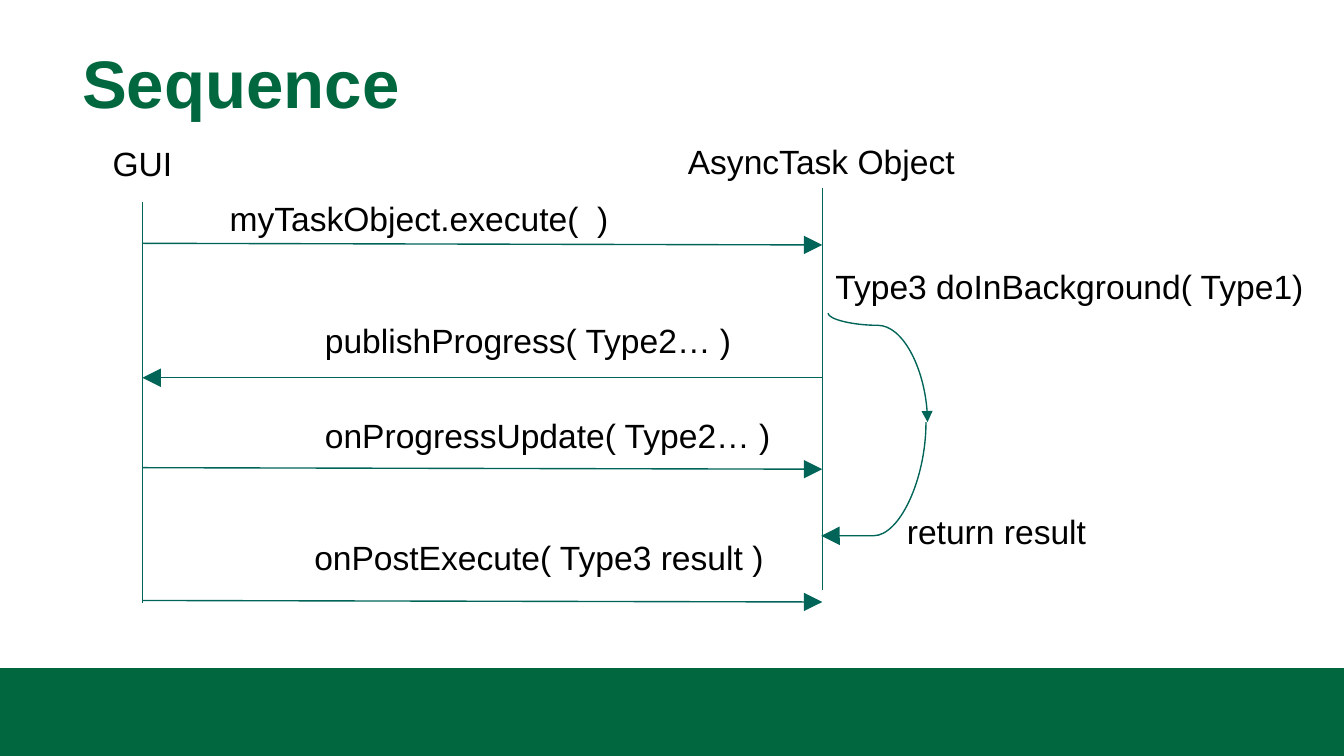
import lxml.etree
import pptx
import pptx.util
import pptx.dml.color
import pptx.enum.shapes
import pptx.enum.text
import pptx.oxml.ns
from pptx.util import Cm

THEME = {
    "font": "Arial",
    "title_size": 36,
    "label_size": 18,
    "line_width": 0.75,
    "brand": "00673E",
    "line": "006558",
    "text": "000000",
}

TITLE = "Sequence"
GUI_X, TASK_X = 2.69, 15.54
ARROW_DROP = 0.03
LABEL_HEIGHT = 1.02

LIFELINES = [(GUI_X, 3.81, 11.4), (TASK_X, 3.56, 11.15)]

MESSAGES = [
    (GUI_X, TASK_X, 4.6, ARROW_DROP),
    (TASK_X, GUI_X, 7.14, 0),
    (GUI_X, TASK_X, 8.84, ARROW_DROP),
    (GUI_X, TASK_X, 11.35, ARROW_DROP),
]

LABELS = [
    ("GUI", 1.88, 2.57, 1.65, False),
    ("AsyncTask Object", 12.75, 2.54, 5.61, False),
    ("myTaskObject.execute(  )", 4.09, 3.61, 9.5, True),
    ("Type3 doInBackground( Type1)", 15.54, 4.9, 9.63, False),
    ("publishProgress( Type2… )", 5.89, 5.92, 8.46, False),
    ("onProgressUpdate( Type2… )", 5.89, 7.72, 9.19, False),
    ("onPostExecute( Type3 result )", 5.69, 10.03, 9.45, False),
    ("return result", 16.89, 9.53, 3.94, False),
]

CURVES = [
    ((17.5, 7.98), (15.52, 10.13), 99900, "lg"),
    ((15.65, 5.92), (17.53, 7.98), 11200, "med"),
]


def color(name):
    return pptx.dml.color.RGBColor.from_string(THEME[name])


def add_child(parent, tag, **attributes):
    return lxml.etree.SubElement(parent, pptx.oxml.ns.qn(tag), attributes)


def style_paragraph(paragraph, size, color_name, bold=False):
    paragraph.alignment = pptx.enum.text.PP_ALIGN.LEFT
    paragraph.font.name = THEME["font"]
    paragraph.font.size = pptx.util.Pt(THEME[size])
    paragraph.font.color.rgb = color(color_name)
    paragraph.font.bold = bold


def add_line(slide, start, end, arrow=None, kind="STRAIGHT"):
    connector = slide.shapes.add_connector(
        pptx.enum.shapes.MSO_CONNECTOR[kind],
        *(Cm(value) for value in (*start, *end)),
    )
    connector.line.color.rgb = color("line")
    connector.line.width = pptx.util.Pt(THEME["line_width"])
    properties = connector._element.spPr
    if arrow:
        outline = properties.find(pptx.oxml.ns.qn("a:ln"))
        add_child(outline, "a:tailEnd", type="triangle", w=arrow, len=arrow)
    add_child(properties, "a:effectLst")
    return connector


def add_curve(slide, start, end, bend, arrow):
    (x1, y1), (x2, y2) = start, end
    center_x, center_y = (x1 + x2) / 2, (y1 + y2) / 2
    half_width, half_height = abs(y2 - y1) / 2, abs(x2 - x1) / 2
    rightward = x2 > x1
    side = half_width if rightward else -half_width
    connector = add_line(
        slide,
        (center_x + side, center_y - half_height),
        (center_x - side, center_y + half_height),
        arrow,
        "CURVE",
    )
    properties = connector._element.spPr
    properties.find(pptx.oxml.ns.qn("a:xfrm")).set("rot", str((270 if rightward else 90) * 60000))
    geometry = properties.find(pptx.oxml.ns.qn("a:prstGeom"))
    adjustments = geometry.find(pptx.oxml.ns.qn("a:avLst"))
    if adjustments is None:
        adjustments = add_child(geometry, "a:avLst")
    add_child(adjustments, "a:gd", name="adj1", fmla=f"val {bend}")


def add_label(slide, text, left, top, width, wrap):
    box = slide.shapes.add_textbox(Cm(left), Cm(top), Cm(width), Cm(LABEL_HEIGHT))
    frame = box.text_frame
    frame.word_wrap = wrap
    frame.auto_size = pptx.enum.text.MSO_AUTO_SIZE.SHAPE_TO_FIT_TEXT
    frame.text = text
    style_paragraph(frame.paragraphs[0], "label_size", "text")


def add_footer_band(slide):
    band = slide.shapes.add_shape(
        pptx.enum.shapes.MSO_SHAPE.RECTANGLE, 0, Cm(12.63), Cm(25.4), Cm(1.66)
    )
    band.shadow.inherit = False
    band.fill.solid()
    band.fill.fore_color.rgb = color("brand")
    band.line.fill.background()


def set_title(slide):
    title = slide.shapes.title
    title.left, title.top, title.width, title.height = Cm(1.3), Cm(0.53), Cm(22.81), Cm(2.49)
    frame = title.text_frame
    frame.text = TITLE
    frame.vertical_anchor = pptx.enum.text.MSO_ANCHOR.TOP
    frame.margin_top = Cm(0.25)
    style_paragraph(frame.paragraphs[0], "title_size", "brand", True)


def main():
    presentation = pptx.Presentation()
    presentation.slide_width, presentation.slide_height = Cm(25.4), Cm(14.29)
    slide = presentation.slides.add_slide(presentation.slide_layouts[5])
    add_footer_band(slide)
    set_title(slide)
    for x, top, bottom in LIFELINES:
        add_line(slide, (x, top), (x, bottom))
    for start_x, end_x, y, drop in MESSAGES:
        add_line(slide, (start_x, y), (end_x, y + drop), "lg")
    for curve in CURVES:
        add_curve(slide, *curve)
    for label in LABELS:
        add_label(slide, *label)
    presentation.save("out.pptx")


if __name__ == "__main__":
    main()
